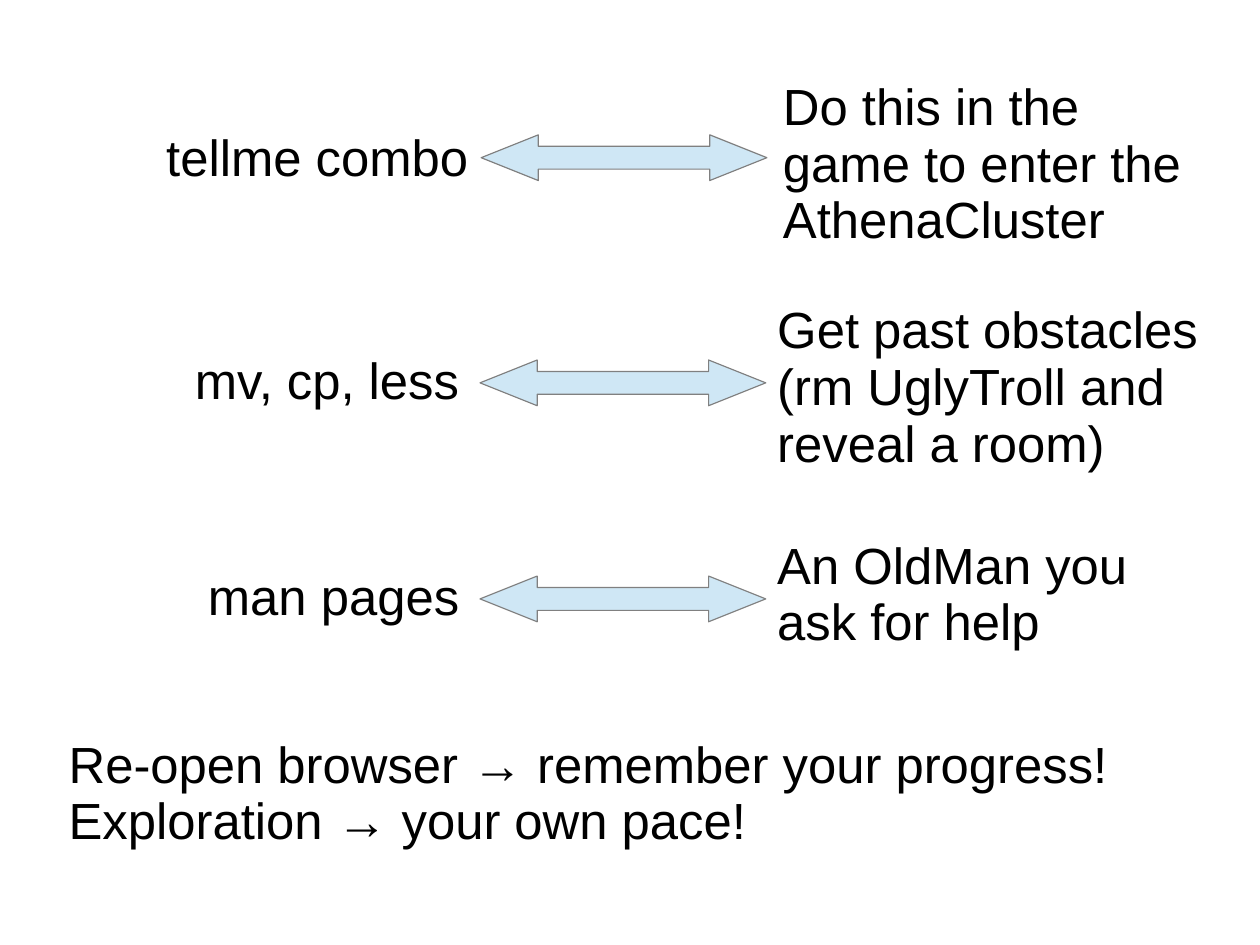
from pptx import Presentation
from pptx.dml.color import RGBColor
from pptx.enum.shapes import MSO_SHAPE
from pptx.enum.text import MSO_ANCHOR, PP_ALIGN
from pptx.util import Cm, Inches, Pt

DOUBLE_ARROW = MSO_SHAPE.LEFT_RIGHT_ARROW
MIDDLE = MSO_ANCHOR.MIDDLE
LEFT, RIGHT = PP_ALIGN.LEFT, PP_ALIGN.RIGHT

BLACK = RGBColor(0x00, 0x00, 0x00)
PALE_BLUE = RGBColor(0xCF, 0xE7, 0xF5)
GRAY = RGBColor(0x80, 0x80, 0x80)

SLIDE_WIDTH, SLIDE_HEIGHT = Cm(28), Cm(21)
BLANK_LAYOUT = 6


class MappingSlide:
    font_name = "Arial"
    font_size = Pt(32)
    line_spacing = 0.93
    cell = Inches(0.1)

    def __init__(self, slide):
        self.slide = slide

    def box(self, column, middle_row, width, height):
        top = middle_row - height / 2
        return [round(n * self.cell) for n in (column, top, width, height)]

    def text(self, lines, column, middle_row, width, height, align=LEFT):
        frame = self.slide.shapes.add_textbox(
            *self.box(column, middle_row, width, height)).text_frame
        frame.word_wrap = True
        frame.vertical_anchor = MIDDLE
        frame.margin_left = frame.margin_right = frame.margin_bottom = 0
        frame.margin_top = Inches(0.03)
        for index, line in enumerate(lines):
            paragraph = frame.add_paragraph() if index else frame.paragraphs[0]
            paragraph.text = line
            paragraph.alignment = align
            paragraph.line_spacing = self.line_spacing
            paragraph.font.name = self.font_name
            paragraph.font.size = self.font_size
            paragraph.font.color.rgb = BLACK

    def arrow(self, column, middle_row, width, height):
        arrow = self.slide.shapes.add_shape(
            DOUBLE_ARROW, *self.box(column, middle_row, width, height))
        arrow.adjustments[0] = 0.5
        arrow.adjustments[1] = 1.25
        arrow.shadow.inherit = False
        arrow.fill.solid()
        arrow.fill.fore_color.rgb = PALE_BLUE
        arrow.line.color.rgb = GRAY
        arrow.line.width = Pt(0.75)

    def mapping(self, command, meaning, columns, middle_rows, meaning_height):
        command_column, arrow_column, meaning_column = columns
        command_row, arrow_row, meaning_row = middle_rows
        self.text([command], command_column, command_row, 37.5, 10.7, RIGHT)
        self.arrow(arrow_column, arrow_row, 25, 4)
        self.text(meaning, meaning_column, meaning_row, 37.5, meaning_height)


def main():
    presentation = Presentation()
    presentation.slide_width = SLIDE_WIDTH
    presentation.slide_height = SLIDE_HEIGHT
    layout = presentation.slide_layouts[BLANK_LAYOUT]
    page = MappingSlide(presentation.slides.add_slide(layout))

    first_columns = (3.5, 42.1, 68.5)
    other_columns = (2.7, 42, 68)
    page.mapping("tellme combo",
                 ["Do this in the game to enter the AthenaCluster"],
                 first_columns, (13.85, 13.8, 14.3), 14.8)
    page.mapping("mv, cp, less",
                 ["Get past obstacles", "(rm UglyTroll and reveal a room)"],
                 other_columns, (33.35, 33.5, 33.85), 10.7)
    page.mapping("man pages",
                 ["An OldMan you ask for help"],
                 other_columns, (52.25, 52.4, 51.95), 10.7)
    page.text(["Re-open browser → remember your progress!\n"
               "Exploration → your own pace!"], 6, 69.35, 102.5, 10.7)

    presentation.save("out.pptx")


if __name__ == "__main__":
    main()
